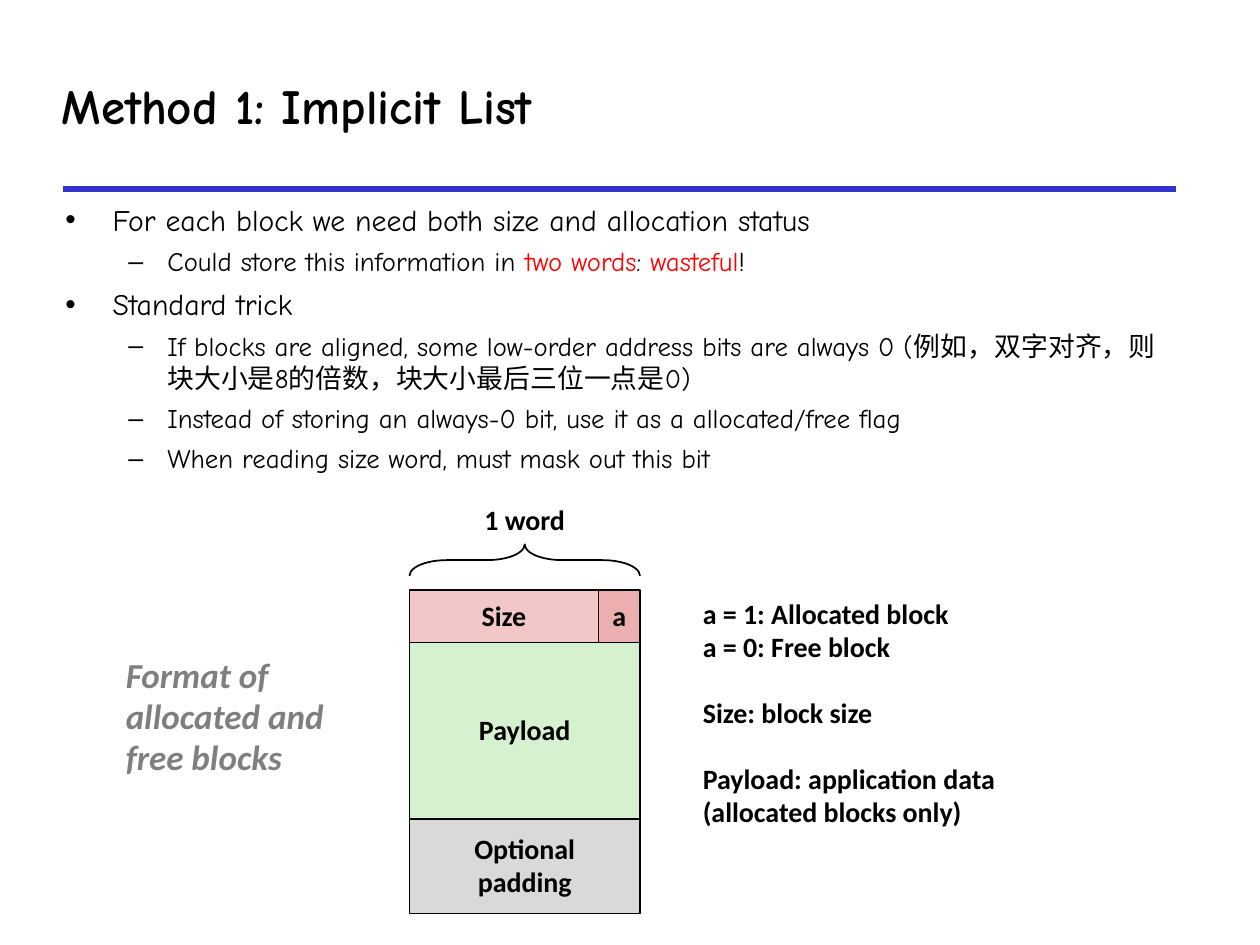
from collections import namedtuple

from lxml.etree import SubElement
from pptx import Presentation
from pptx.dml.color import RGBColor
from pptx.enum.shapes import MSO_CONNECTOR, MSO_SHAPE
from pptx.enum.text import MSO_ANCHOR, PP_ALIGN
from pptx.oxml.ns import qn
from pptx.util import Inches, Pt

COLUMNS, ROWS = 100, 75
CELL = Inches(0.1)
HEADING_FONT, DIAGRAM_FONT = "Comic Neue", "Calibri"
COLORS = {
    "ink": "000000",
    "rule": "3333CC",
    "alert": "FF0000",
    "caption": "7F7F7F",
    "size": "F1C7C7",
    "flag": "EBAFAF",
    "payload": "D5F1CF",
    "padding": "D9D9D9",
}
BULLETS = {
    0: dict(mark="•", margin=3.75, hang=3.75, size=17, before=5),
    1: dict(mark="–", margin=8.1, hang=3.1, size=15.3, before=4.5),
}
POINTS = [
    (0, [("For each block we need both size and allocation status", "ink")]),
    (1, [("Could store this information in ", "ink"), ("two words", "alert"),
         (": ", "ink"), ("wasteful", "alert"), ("!", "ink")]),
    (0, [("Standard trick", "ink")]),
    (1, [("If blocks are aligned, some low-order address bits are always 0 "
          "(例如，双字对齐，则块大小是8的倍数，块大小最后三位一点是0)", "ink")]),
    (1, [("Instead of storing an always-0 bit, use it as a allocated/free flag", "ink")]),
    (1, [("When reading size word, must mask out this bit", "ink")]),
]
LEGEND = [
    ["a = 1: Allocated block", "a = 0: Free block"],
    ["Size: block size"],
    ["Payload: application data", "(allocated blocks only)"],
]

Box = namedtuple("Box", "left top width height")


def color(name):
    return RGBColor.from_string(COLORS[name])


def cells(*counts):
    return [round(count * CELL) for count in counts]


def set_font(font, face, size, ink="ink", bold=True, italic=False):
    font.name = face
    font.size = Pt(size)
    font.bold = bold
    font.italic = italic
    font.color.rgb = color(ink)


def add_text(slide, box, wrap):
    frame = slide.shapes.add_textbox(*cells(*box)).text_frame
    frame.word_wrap = wrap
    return frame


def write_lines(frame, lines, size=16, ink="ink", italic=False, align=PP_ALIGN.LEFT):
    for index, line in enumerate(lines):
        paragraph = frame.add_paragraph() if index else frame.paragraphs[0]
        paragraph.text = line
        paragraph.alignment = align
        paragraph.line_spacing = 0.98
        set_font(paragraph.font, DIAGRAM_FONT, size, ink, italic=italic)


def add_heading(slide, box):
    frame = add_text(slide, box._replace(height=6.3), True)
    frame.vertical_anchor = MSO_ANCHOR.MIDDLE
    title = frame.paragraphs[0]
    title.text = "Method 1: Implicit List"
    set_font(title.font, HEADING_FONT, 28)

    left, bottom = box.left + 1.1, box.top + box.height
    rule = slide.shapes.add_connector(
        MSO_CONNECTOR.STRAIGHT, *cells(left, bottom, left + 88.3, bottom))
    rule.line.color.rgb = color("rule")
    rule.line.width = Pt(3)
    SubElement(rule._element.spPr, qn("a:effectLst"))


def add_points(slide, box):
    frame = add_text(slide, box, True)
    for index, (level, runs) in enumerate(POINTS):
        style = BULLETS[level]
        paragraph = frame.add_paragraph() if index else frame.paragraphs[0]
        paragraph.level = level
        if index:
            paragraph.space_before = Pt(style["before"])
        properties = paragraph._p.get_or_add_pPr()
        margin, hang = cells(style["margin"], style["hang"])
        properties.set("marL", str(margin))
        properties.set("indent", str(-hang))
        tint = SubElement(SubElement(properties, qn("a:buClr")), qn("a:srgbClr"))
        tint.set("val", COLORS["ink"])
        SubElement(properties, qn("a:buFont")).set("typeface", "Arial")
        SubElement(properties, qn("a:buChar")).set("char", style["mark"])
        set_font(paragraph.font, HEADING_FONT, style["size"], bold=False)
        for text, ink in runs:
            run = paragraph.add_run()
            run.text = text
            if ink != "ink":
                run.font.color.rgb = color(ink)


def add_field(slide, box, lines, fill):
    field = slide.shapes.add_shape(MSO_SHAPE.RECTANGLE, *cells(*box))
    field.shadow.inherit = False
    field.fill.solid()
    field.fill.fore_color.rgb = color(fill)
    field.line.color.rgb = color("ink")
    field.line.width = Pt(1)
    field.text_frame.word_wrap = False
    field.text_frame.vertical_anchor = MSO_ANCHOR.MIDDLE
    write_lines(field.text_frame, lines, align=PP_ALIGN.CENTER)


def add_block(slide, box):
    header, payload, padding, flag = 4.2, 14, 7.5, 3.3
    size_width = box.width - flag
    payload_top = box.top + header
    add_field(slide, Box(box.left, box.top, size_width, header), ["Size"], "size")
    add_field(slide, Box(box.left + size_width, box.top, flag, header), ["a"], "flag")
    add_field(slide, Box(box.left, payload_top, box.width, payload), ["Payload"], "payload")
    add_field(slide, Box(box.left, payload_top + payload, box.width, padding),
              ["Optional", "padding"], "padding")


def add_word_brace(slide, box):
    depth = 2.5
    label = add_text(slide, box._replace(height=3.6), False)
    write_lines(label, ["1 word"], align=PP_ALIGN.CENTER)

    center_x = box.left + box.width / 2
    center_y = box.top + box.height - depth / 2
    brace = slide.shapes.add_shape(
        MSO_SHAPE.RIGHT_BRACE,
        *cells(center_x - depth / 2, center_y - box.width / 2, depth, box.width))
    brace.rotation = 270
    brace.adjustments[0] = 1.19
    brace.shadow.inherit = False
    brace.fill.background()
    brace.line.color.rgb = color("ink")
    brace.line.width = Pt(1)


def add_caption(slide, box):
    write_lines(add_text(slide, box, False),
                ["Format of", "allocated and", "free blocks"],
                size=20, ink="caption", italic=True)


def add_legend(slide, box):
    frame = add_text(slide, box, False)
    write_lines(frame, [line for group in LEGEND for line in group])
    start = 0
    for group in LEGEND[:-1]:
        start += len(group)
        frame.paragraphs[start].space_before = Pt(19)


def main():
    presentation = Presentation()
    presentation.slide_width = COLUMNS * CELL
    presentation.slide_height = ROWS * CELL
    slide = presentation.slides.add_slide(presentation.slide_layouts[6])

    block = Box(32.5, 46.8, 18.3, 25.7)
    add_heading(slide, Box(3.9, 5.2, 72.1, 9.8))
    add_points(slide, Box(4.2, 15.5, 90.3, 23.6))
    add_word_brace(slide, block._replace(top=39.5, height=6.2))
    add_block(slide, block)
    add_caption(slide, Box(9, 51.5, 17.7, 10.8))
    add_legend(slide, Box(54.8, 47, 25.3, 21.9))
    presentation.save("out.pptx")


if __name__ == "__main__":
    main()
